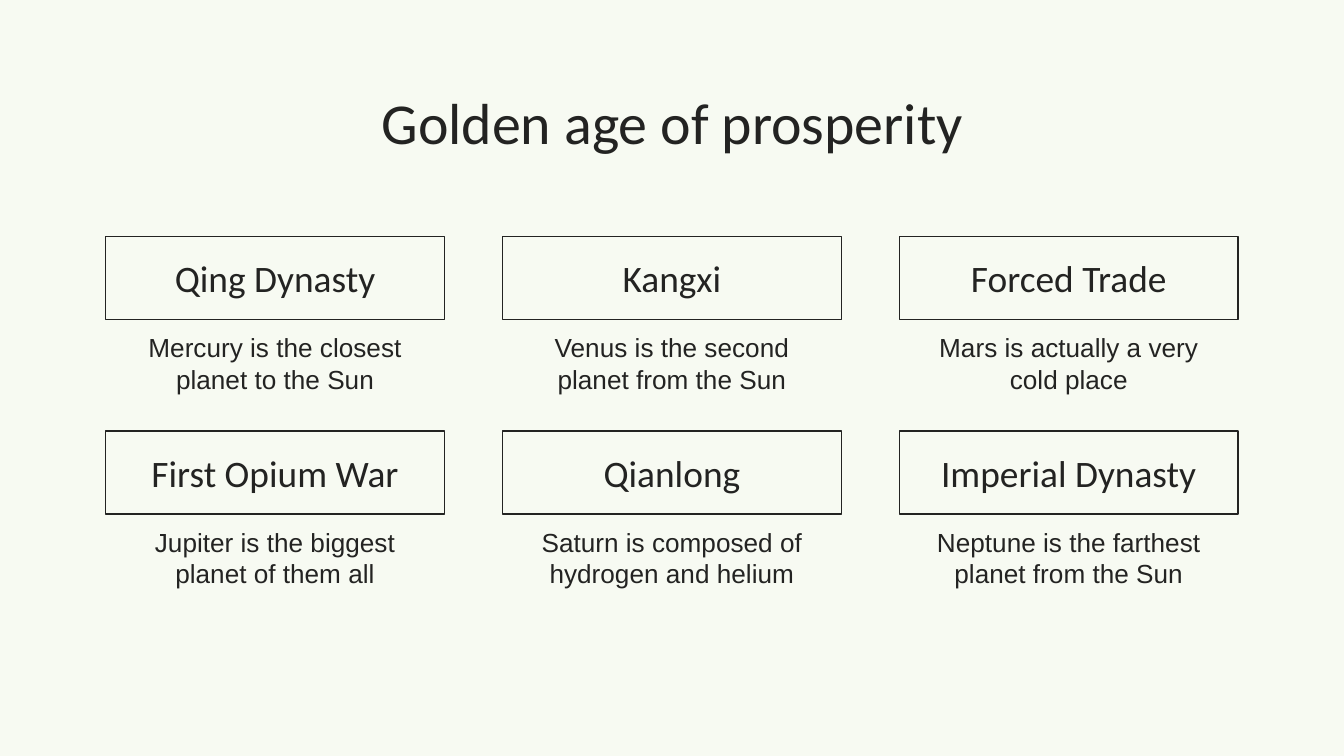
"""Build a slide with a title and six captioned topic boxes."""
import pptx
import pptx.dml.color
import pptx.enum.shapes
import pptx.enum.text
import pptx.util

Cm = pptx.util.Cm
INK = pptx.dml.color.RGBColor(0x23, 0x23, 0x22)
PAPER = pptx.dml.color.RGBColor(0xF7, 0xFA, 0xF2)
MIDDLE = pptx.enum.text.MSO_ANCHOR.MIDDLE
TOP = pptx.enum.text.MSO_ANCHOR.TOP
RECT = pptx.enum.shapes.MSO_SHAPE.RECTANGLE

TOPICS = [
    ("Qing Dynasty", "Mercury is the closest planet to the Sun"),
    ("Kangxi", "Venus is the second planet from the Sun"),
    ("Forced Trade", "Mars is actually a very cold place"),
    ("First Opium War", "Jupiter is the biggest planet of them all"),
    ("Qianlong", "Saturn is composed of hydrogen and helium"),
    ("Imperial Dynasty", "Neptune is the farthest planet from the Sun"),
]


def write(shape, text, font, size, anchor):
    frame = shape.text_frame
    frame.word_wrap = True
    frame.vertical_anchor = anchor
    frame.margin_left = frame.margin_right = Cm(0.25)
    frame.margin_top = frame.margin_bottom = Cm(0.25)
    para = frame.paragraphs[0]
    para.alignment = pptx.enum.text.PP_ALIGN.CENTER
    run = para.add_run()
    run.text = text
    run.font.name = font
    run.font.size = pptx.util.Pt(size)
    run.font.color.rgb = INK
    return para


deck = pptx.Presentation()
deck.slide_width = Cm(25.4)
deck.slide_height = Cm(14.29)
slide = deck.slides.add_slide(deck.slide_layouts[6])
slide.background.fill.solid()
slide.background.fill.fore_color.rgb = PAPER

title = slide.shapes.add_textbox(Cm(2), Cm(1.5), Cm(21.4), Cm(1.57))
write(title, "Golden age of prosperity", "Calibri", 31, MIDDLE)

for i, (name, fact) in enumerate(TOPICS):
    row, col = divmod(i, 3)
    left = Cm(2 + 7.5 * col)
    top = Cm(4.47 + 3.68 * row)

    box = slide.shapes.add_shape(RECT, left, top, Cm(6.4), Cm(1.57))
    box.shadow.inherit = False
    box.fill.background()
    box.line.color.rgb = INK
    box.line.width = pptx.util.Pt(0.75)
    write(box, name, "Calibri", 20, MIDDLE)

    note = slide.shapes.add_textbox(left, top + Cm(1.55), Cm(6.4), Cm(1.7))
    para = write(note, fact, "Arial", 14, TOP)
    para.space_after = pptx.util.Pt(16)

deck.save("out.pptx")
